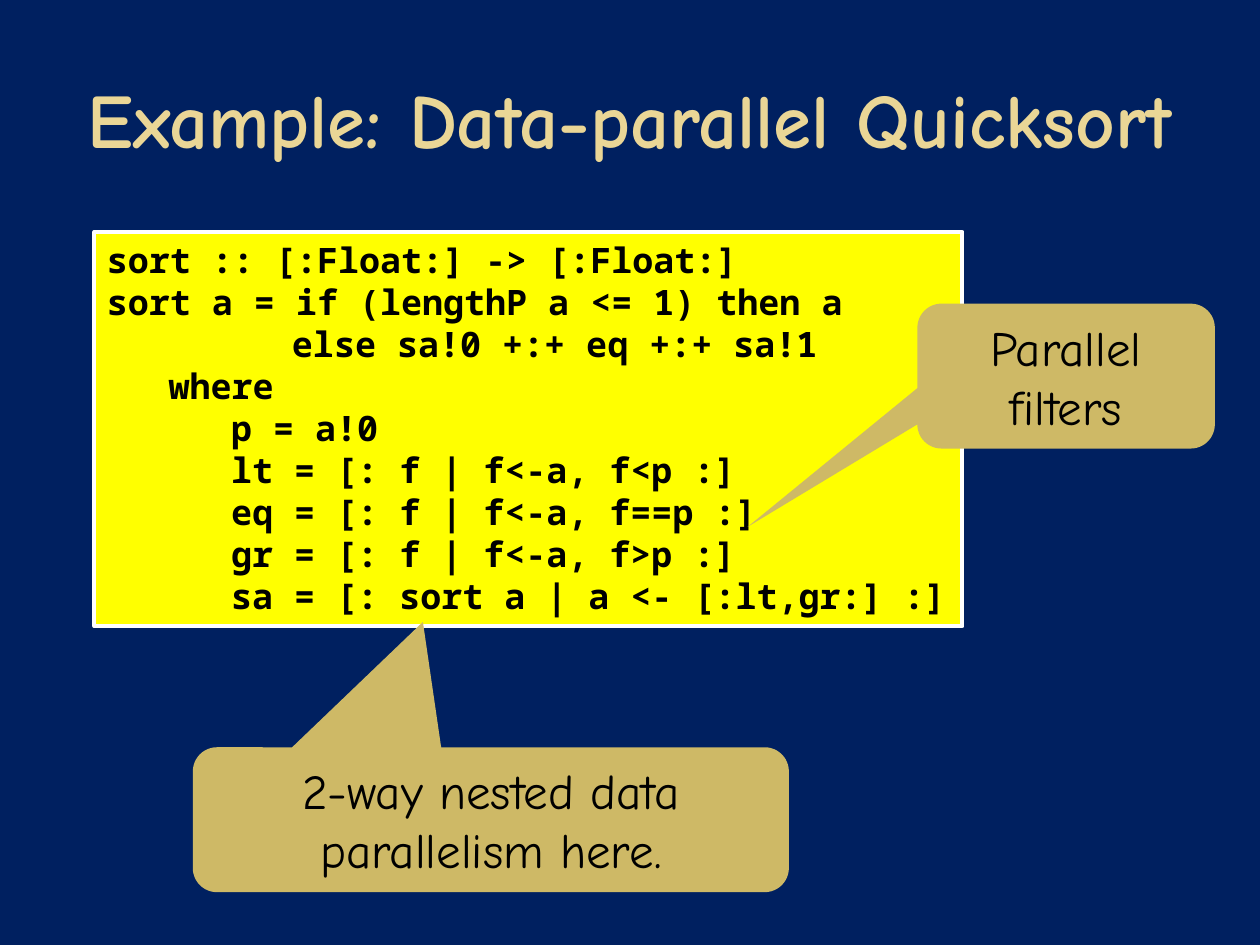
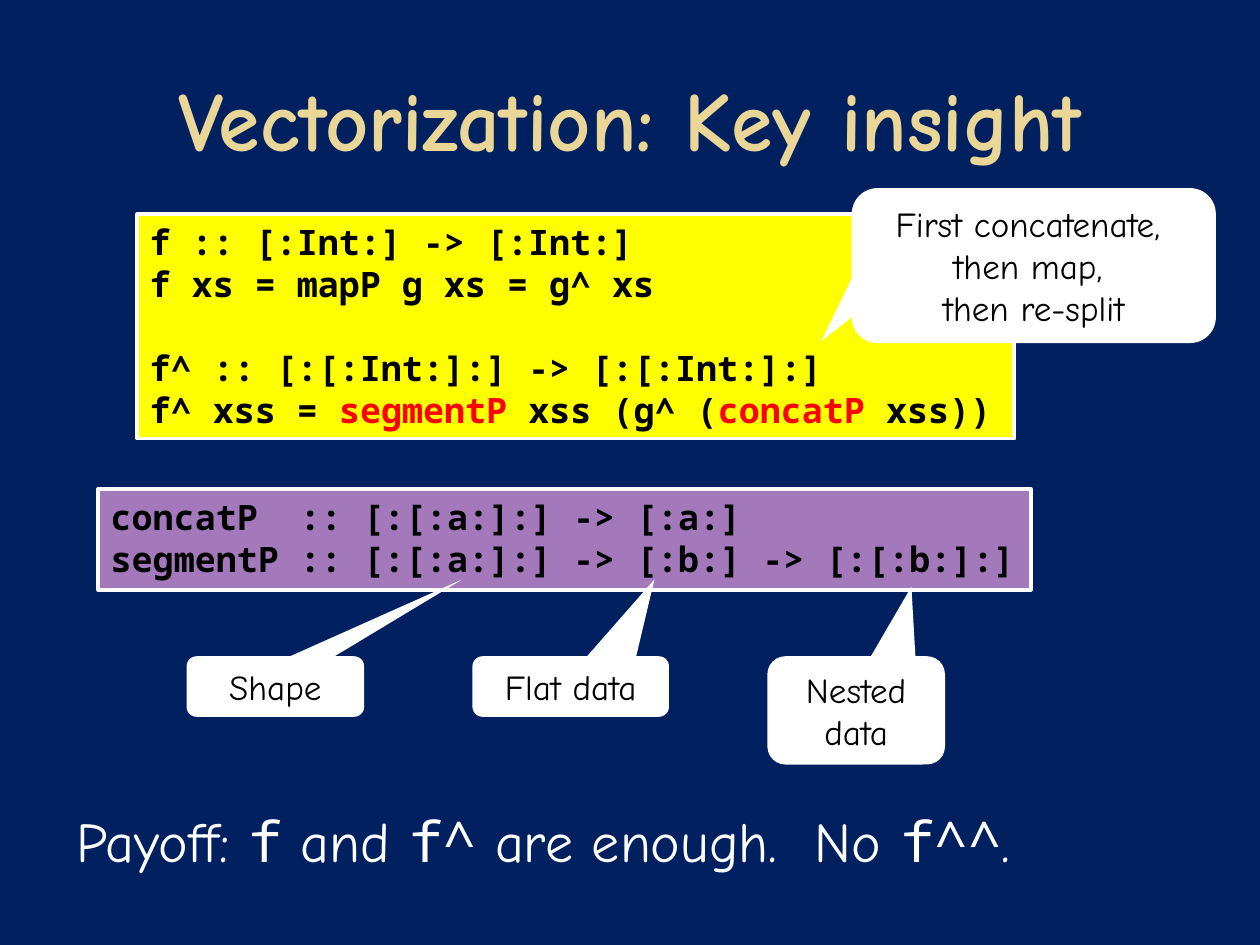
from pptx import Presentation
from pptx.dml.color import RGBColor
from pptx.enum.shapes import MSO_SHAPE as Preset
from pptx.enum.text import MSO_ANCHOR as Anchor, PP_ALIGN as Align
from pptx.oxml.ns import qn
from pptx.util import Pt
from lxml.etree import SubElement

NAVY = RGBColor(0x00, 0x20, 0x60)
SAND = RGBColor(0xEA, 0xD6, 0x96)
GOLD = RGBColor(0xCE, 0xB9, 0x66)
YELLOW = RGBColor(0xFF, 0xFF, 0x00)
PURPLE = RGBColor(0xA3, 0x79, 0xBB)
RED = RGBColor(0xFF, 0x00, 0x00)
BLACK = RGBColor(0x00, 0x00, 0x00)
WHITE = RGBColor(0xFF, 0xFF, 0xFF)

HAND = "Comic Neue"
MONO = "Noto Sans Mono"
CODE_SIZE = 20
CODE_PITCH = 24
CODE_TABS = (35.3, 71, 105.8)
TITLE_AREA = (0, 22.5, 720, 90)
LABEL_TOP = 375
RED_WORDS = ("segmentP", "concatP")

SORT_CODE = [
    "sort :: [:Float:] -> [:Float:]",
    "sort a = if (lengthP a <= 1) then a",
    "\t\t\telse sa!0 +:+ eq +:+ sa!1",
    "\twhere",
    "\t\tp = a!0",
    "\t\tlt = [: f | f<-a, f<p :]",
    "\t\teq = [: f | f<-a, f==p :]",
    "\t\tgr = [: f | f<-a, f>p :]",
    "\t\tsa = [: sort a | a <- [:lt,gr:] :]",
]
LIFT_CODE = [
    "f :: [:Int:] -> [:Int:]",
    "f xs = mapP g xs = g^ xs",
    "",
    "f^ :: [:[:Int:]:] -> [:[:Int:]:]",
    "f^ xss = segmentP xss (g^ (concatP xss))",
]
TYPES_CODE = [
    "concatP  :: [:[:a:]:] -> [:a:]",
    "segmentP :: [:[:a:]:] -> [:b:] -> [:[:b:]:]",
]
PAYOFF = [("Payoff: ", HAND), ("f", MONO), (" and ", HAND), ("f^", MONO),
          (" are enough.  No ", HAND), ("f^^", MONO), (".", HAND)]

SLIDES = [
    {
        "title": ("Example: Data-parallel Quicksort", 44),
        "code": [(SORT_CODE, (54, 132.5, 496, 225.4), YELLOW, ())],
        "callouts": [
            (["2-way nested data parallelism here."],
             (110.2, 427, 340.6, 82.8), (-0.114, -1.365), GOLD, 28),
            (["Parallel filters"],
             (524.2, 173.5, 170, 82.8), (-1.071, 1.041), GOLD, 28),
        ],
    },
    {
        "title": ("Vectorization: Key insight", 48),
        "code": [(LIFT_CODE, (78.5, 122.4, 501.1, 128.2), YELLOW, RED_WORDS),
                 (TYPES_CODE, (56.2, 279.4, 532.8, 57.6), PURPLE, ())],
        "callouts": [
            (["First concatenate, ", "then map, ", "then re-split"],
             (486.7, 107.5, 208.1, 88.6), (-0.584, 0.488), WHITE, 20),
            (["Shape"], (106.6, LABEL_TOP, 101.5, 34.6), (1.051, -1.767), WHITE, 20),
            (["Flat data"], (270, LABEL_TOP, 112.3, 34.6), (0.426, -1.767), WHITE, 20),
            (["Nested data"], (438.5, LABEL_TOP, 101.5, 61.9), (0.311, -1.142), WHITE, 20),
        ],
        "closing": (PAYOFF, (36.7, 457.2, 671.8, 44.6)),
    },
]


def add_span(para, text, size, color, font=HAND, bold=False):
    span = para.add_run()
    span.text = text
    span.font.size = Pt(size)
    span.font.name = font
    span.font.bold = bold
    span.font.color.rgb = color


def add_text_box(page, area):
    box = page.shapes.add_textbox(*map(Pt, area))
    box.text_frame.word_wrap = True
    return box.text_frame


def add_panel(page, preset, area, color):
    panel = page.shapes.add_shape(preset, *map(Pt, area))
    panel.shadow.inherit = False
    panel.fill.solid()
    panel.fill.fore_color.rgb = color
    panel.text_frame.word_wrap = True
    return panel


def add_title(page, text, size):
    frame = add_text_box(page, TITLE_AREA)
    frame.vertical_anchor = Anchor.MIDDLE
    frame.margin_top = frame.margin_bottom = 0
    para = frame.paragraphs[0]
    para.alignment = Align.CENTER
    add_span(para, text, size, SAND, bold=True)


def split_words(line, words):
    pieces = [line]
    for word in words:
        pieces = [part for piece in pieces
                  for part in (piece.partition(word) if word in piece else (piece,))]
    return [piece for piece in pieces if piece]


def add_code(page, lines, area, color, red_words):
    panel = add_panel(page, Preset.RECTANGLE, area, color)
    panel.line.color.rgb = WHITE
    panel.line.width = Pt(2.25)
    frame = panel.text_frame
    frame.vertical_anchor = Anchor.TOP
    frame.margin_right = 0
    gap = 0
    para = frame.paragraphs[0]
    for number, line in enumerate(lines):
        if not line:
            gap += CODE_PITCH
            continue
        if number:
            para = frame.add_paragraph()
        para.alignment = Align.LEFT
        para.line_spacing = Pt(CODE_PITCH)
        if gap:
            para.space_before = Pt(gap)
            gap = 0
        tabs = SubElement(para._p.get_or_add_pPr(), qn("a:tabLst"))
        for stop in CODE_TABS:
            SubElement(tabs, qn("a:tab"), pos=str(int(Pt(stop))), algn="l")
        for piece in split_words(line, red_words):
            add_span(para, piece, CODE_SIZE, RED if piece in red_words else BLACK,
                     MONO, bold=True)


def add_callout(page, lines, area, tip, color, size):
    callout = add_panel(page, Preset.ROUNDED_RECTANGULAR_CALLOUT, area, color)
    callout.line.fill.background()
    for index, value in enumerate(tip):
        callout.adjustments[index] = value
    frame = callout.text_frame
    frame.vertical_anchor = Anchor.MIDDLE
    para = frame.paragraphs[0]
    para.alignment = Align.CENTER
    for number, line in enumerate(lines):
        if number:
            para.add_line_break()
        add_span(para, line, size, BLACK)


def add_closing(page, pieces, area):
    para = add_text_box(page, area).paragraphs[0]
    for text, font in pieces:
        add_span(para, text, 32, WHITE, font)


def main():
    deck = Presentation()
    deck.slide_width, deck.slide_height = Pt(720), Pt(540)
    for content in SLIDES:
        page = deck.slides.add_slide(deck.slide_layouts[6])
        page.background.fill.solid()
        page.background.fill.fore_color.rgb = NAVY
        add_title(page, *content["title"])
        for code in content["code"]:
            add_code(page, *code)
        for callout in content["callouts"]:
            add_callout(page, *callout)
        if "closing" in content:
            add_closing(page, *content["closing"])
    deck.save("out.pptx")


if __name__ == "__main__":
    main()
